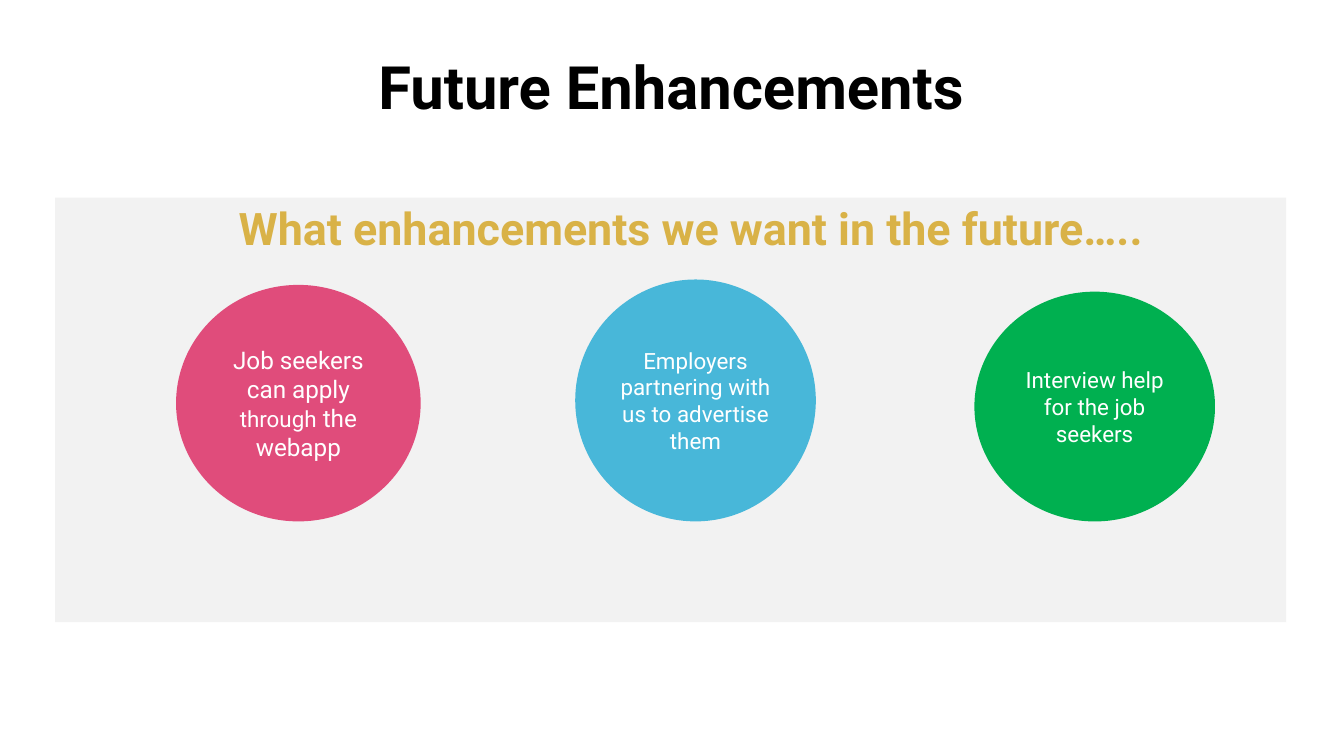
from pptx import Presentation
from pptx.dml.color import RGBColor
from pptx.enum import shapes, text
from pptx.util import Inches, Pt

FONT = "Roboto"
CIRCLE_BOTTOM = 3.88


def color(value):
    return RGBColor.from_string(value)


def add_panel(slide, kind, left, top, width, height, fill):
    panel = slide.shapes.add_shape(
        kind, Inches(left), Inches(top), Inches(width), Inches(height))
    panel.shadow.inherit = False
    panel.fill.solid()
    panel.fill.fore_color.rgb = color(fill)
    panel.line.fill.background()
    return panel


def write(shape, spans, size, ink, bold=False):
    frame = shape.text_frame
    frame.word_wrap = True
    frame.vertical_anchor = text.MSO_ANCHOR.MIDDLE
    frame.margin_left = frame.margin_right = 0
    frame.margin_top = frame.margin_bottom = 0
    para = frame.paragraphs[0]
    para.alignment = text.PP_ALIGN.CENTER
    para.font.name = FONT
    para.font.size = Pt(size)
    para.font.bold = bold
    para.font.color.rgb = color(ink)
    for words, span_size in spans:
        span = para.add_run()
        span.text = words
        if span_size != size:
            span.font.size = Pt(span_size)
    return para


def add_heading(slide, left, top, width, height, words, size, ink):
    box = slide.shapes.add_textbox(
        Inches(left), Inches(top), Inches(width), Inches(height))
    return write(box, [(words, size)], size, ink, bold=True)


def add_circle(slide, left, width, height, fill, spans):
    circle = add_panel(slide, shapes.MSO_SHAPE.OVAL, left,
                       CIRCLE_BOTTOM - height, width, height, fill)
    write(circle, spans, spans[0][1], "FFFFFF")


def main():
    deck = Presentation()
    deck.slide_width = Inches(10)
    deck.slide_height = Inches(10 * 9 / 16)
    slide = deck.slides.add_slide(deck.slide_layouts[6])

    add_panel(slide, shapes.MSO_SHAPE.RECTANGLE, 0.41, 1.47, 9.16, 3.16, "F2F2F2")
    add_heading(slide, 0.42, 0.37, 9.15, 0.54, "Future Enhancements", 32, "000000")

    enhancements = [
        (1.31, 1.82, 1.76, "E04C7B",
         [("Job seekers can apply ", 13), ("through", 12), (" the webapp", 13)]),
        (4.28, 1.79, 1.8, "48B7D9",
         [("Employers partnering with us to advertise them", 12)]),
        (7.25, 1.79, 1.71, "00B050",
         [("Interview help for the job seekers", 12)]),
    ]
    for enhancement in enhancements:
        add_circle(slide, *enhancement)

    question = add_heading(slide, 1.1, 1.29, 8.08, 0.61,
                           "What enhancements we want in the future…..", 24, "D9B247")
    question.line_spacing = 1.5

    deck.save("out.pptx")


if __name__ == "__main__":
    main()
